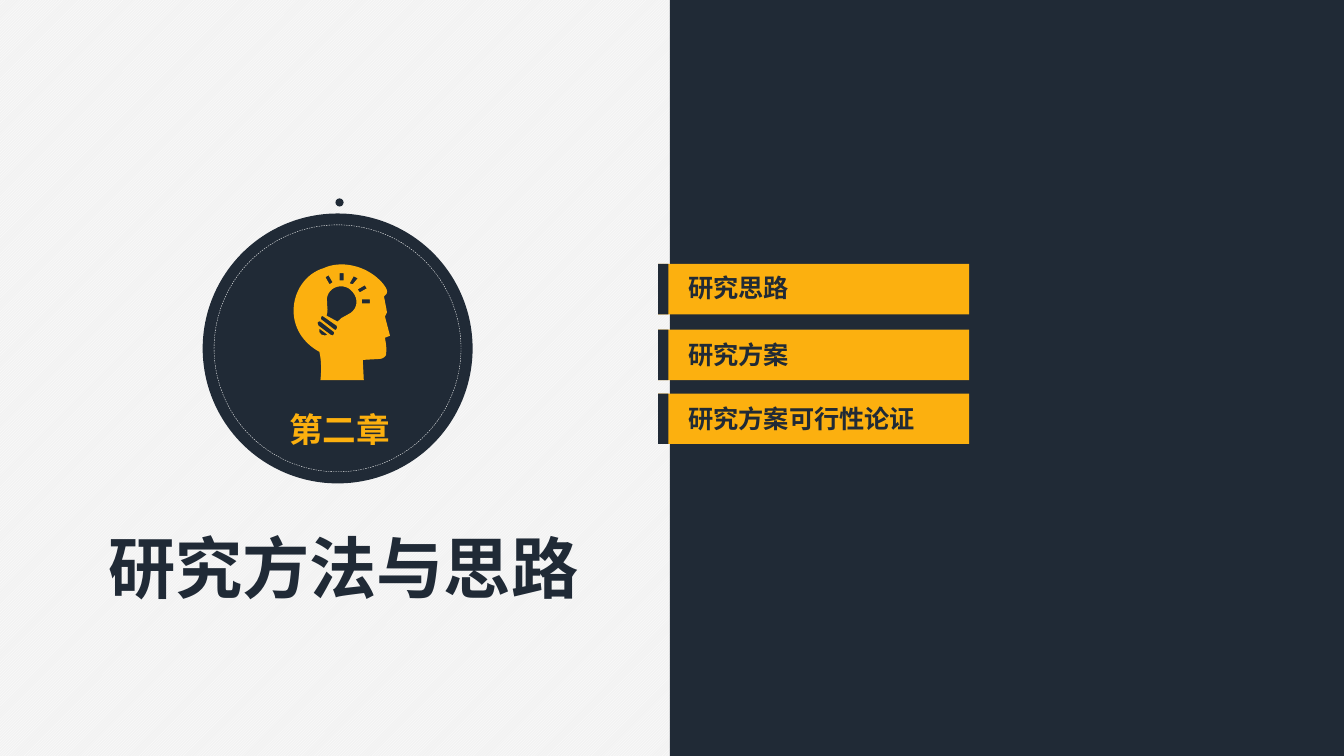
from lxml.etree import SubElement
from pptx import Presentation
from pptx.dml.color import RGBColor
from pptx.enum.dml import MSO_LINE, MSO_PATTERN
from pptx.enum.shapes import MSO_SHAPE
from pptx.enum.text import MSO_ANCHOR, MSO_AUTO_SIZE, PP_ALIGN
from pptx.oxml.ns import qn
from pptx.util import Pt

NAVY = RGBColor(0x20, 0x2A, 0x36)
AMBER = RGBColor(0xFC, 0xB0, 0x0F)
WHITE = RGBColor(0xFF, 0xFF, 0xFF)
PALE = RGBColor(0xF2, 0xF2, 0xF2)
FONT = "Noto Sans CJK SC"
FIT_FRAME = {"word_wrap": False, "auto_size": MSO_AUTO_SIZE.SHAPE_TO_FIT_TEXT}
MIDDLE_FRAME = {"word_wrap": True, "vertical_anchor": MSO_ANCHOR.MIDDLE}

TOPICS = [
    ("研究思路", 188.6, 191.3),
    ("研究方案", 235.5, 238.8),
    ("研究方案可行性论证", 281.2, 284.4),
]
TAG_LEFT, TAG_WIDTH, TAG_HEIGHT, TAB_WIDTH = 470, 222.2, 36, 7.4

ICON_LEFT, ICON_TOP, ICON_UNIT = 199.4, 185.8, 0.72
HEAD = [
    (41, 119), (42, 110, 42, 100, 40, 91), (0, 69, 11, 18, 44, 8),
    (61, 0, 85, 5, 100, 20), (111, 31, 106, 34, 106, 34), (104, 36),
    (105, 41, 107, 51, 107, 52), (105, 56), (110, 75), (105, 77),
    (106, 83, 107, 88, 106, 94), (106, 95, 103, 98, 100, 98),
    (83, 99), (84, 119),
]
BULB = [
    (69, 28), (62, 24, 53, 26, 49, 33), (45, 40, 50, 47, 47, 55), (58, 61),
    (62, 55, 71, 55, 75, 48), (79, 41, 76, 33, 69, 28),
]
UPPER_THREAD = [
    (57, 65), (44, 56), (43, 55, 42, 55, 42, 56), (41, 57, 41, 59, 42, 59),
    (55, 69), (56, 70, 57, 69, 57, 68), (58, 68, 58, 66, 57, 65),
]
LOWER_THREAD = [
    (54, 71), (41, 61), (40, 60, 39, 61, 38, 62), (38, 63, 38, 64, 39, 65),
    (51, 74), (52, 75, 54, 75, 54, 74), (55, 73, 55, 71, 54, 71),
]
BULB_TIP = [(40, 68), (39, 70, 40, 73, 42, 74), (44, 75, 47, 75, 48, 74)]
RAYS = [
    [(82, 43), (90, 43), (90, 39), (82, 39)],
    [(53, 22), (49, 15), (46, 17), (50, 24)],
    [(64, 20), (64, 13), (60, 13), (60, 20)],
    [(80, 32), (87, 28), (85, 25), (78, 29)],
    [(73, 24), (78, 18), (74, 16), (70, 23)],
]
ICON_OUTLINES = [HEAD, LOWER_THREAD, *RAYS, UPPER_THREAD, BULB, BULB_TIP]


def set_values(target, values):
    for name, value in values.items():
        setattr(target, name, value)


def paint(shape, fill):
    shape.shadow.inherit = False
    shape.line.fill.background()
    if fill is None:
        shape.fill.background()
    else:
        shape.fill.solid()
        shape.fill.fore_color.rgb = fill


def add_block(page, kind, left, top, width, height, fill=None):
    shape = page.shapes.add_shape(kind, Pt(left), Pt(top), Pt(width), Pt(height))
    paint(shape, fill)
    return shape


def add_label(page, text, left, top, width, height, size, color, frame, align):
    box = page.shapes.add_textbox(Pt(left), Pt(top), Pt(width), Pt(height))
    set_values(box.text_frame, frame)
    para = box.text_frame.paragraphs[0]
    para.alignment = align
    span = para.add_run()
    span.text = text
    set_values(span.font, {"name": FONT, "size": Pt(size), "bold": True})
    span.font.color.rgb = color
    SubElement(span._r.get_or_add_rPr(), qn("a:ea"), typeface=FONT)


def corner_points(part):
    return [
        (x * 100 * ICON_UNIT, y * 100 * ICON_UNIT)
        for x, y in zip(part[::2], part[1::2])
    ]


def bend_segments(shape, outlines):
    outline_path = next(shape._element.iter(qn("a:path")))
    segments = iter(outline_path.findall(qn("a:lnTo")))
    for outline in outlines:
        for part in outline[1:]:
            corners = [next(segments) for _ in corner_points(part)]
            if len(corners) == 3:
                curve = SubElement(outline_path, qn("a:cubicBezTo"))
                corners[0].addprevious(curve)
                for corner in corners:
                    curve.append(corner[0])
                    outline_path.remove(corner)


def add_icon(page):
    builder = page.shapes.build_freeform(*corner_points(HEAD[0])[0], scale=Pt(0.01))
    for outline in ICON_OUTLINES:
        if outline is not HEAD:
            builder.move_to(*corner_points(outline[0])[0])
        points = [point for part in outline[1:] for point in corner_points(part)]
        builder.add_line_segments(points, close=False)
        builder.add_line_segments([], close=True)
    icon = builder.convert_to_shape(Pt(ICON_LEFT), Pt(ICON_TOP))
    outline_path = next(icon._element.iter(qn("a:path")))
    for closing in outline_path.findall(qn("a:close")):
        previous = closing.getprevious()
        if previous.tag == qn("a:close"):
            outline_path.remove(closing)
    bend_segments(icon, ICON_OUTLINES)
    paint(icon, AMBER)


def add_tag(page, top):
    for width, fill in ((TAG_WIDTH, AMBER), (TAB_WIDTH, NAVY)):
        add_block(page, MSO_SHAPE.RECTANGLE, TAG_LEFT, top, width, TAG_HEIGHT, fill)


def add_badge(page):
    add_block(page, MSO_SHAPE.OVAL, 144.8, 152.5, 192.8, 192.8, NAVY)
    add_block(page, MSO_SHAPE.OVAL, 239.6, 141.7, 5.8, 5.8, NAVY)
    add_label(page, "第二章", 149, 287.8, 187.2, 37.4, 24, AMBER, MIDDLE_FRAME, PP_ALIGN.CENTER)
    ring = add_block(page, MSO_SHAPE.OVAL, 152.9, 160.6, 176.4, 176.4)
    ring.line.color.rgb = WHITE
    set_values(ring.line, {"width": Pt(0.25), "dash_style": MSO_LINE.DASH})


def set_background(page):
    fill = page.background.fill
    fill.patterned()
    fill.pattern = MSO_PATTERN.LIGHT_UPWARD_DIAGONAL
    fill.fore_color.rgb = WHITE
    fill.back_color.rgb = PALE


def main():
    deck = Presentation()
    set_values(deck, {"slide_width": Pt(960), "slide_height": Pt(540)})
    page = deck.slides.add_slide(deck.slide_layouts[6])
    set_background(page)
    add_block(page, MSO_SHAPE.RECTANGLE, 478.5, 0, 481.5, 540, NAVY)
    for _, tag_top, _ in TOPICS:
        add_tag(page, tag_top)
    add_badge(page)
    for text, _, text_top in TOPICS:
        width = 18 * len(text) + 14.9
        add_label(page, text, 484.6, text_top, width, 29, 18, NAVY, FIT_FRAME, PP_ALIGN.LEFT)
    add_label(page, "研究方法与思路", 68.4, 372.4, 353.5, 65.5, 48, NAVY, FIT_FRAME, PP_ALIGN.CENTER)
    add_icon(page)
    deck.save("out.pptx")


if __name__ == "__main__":
    main()
